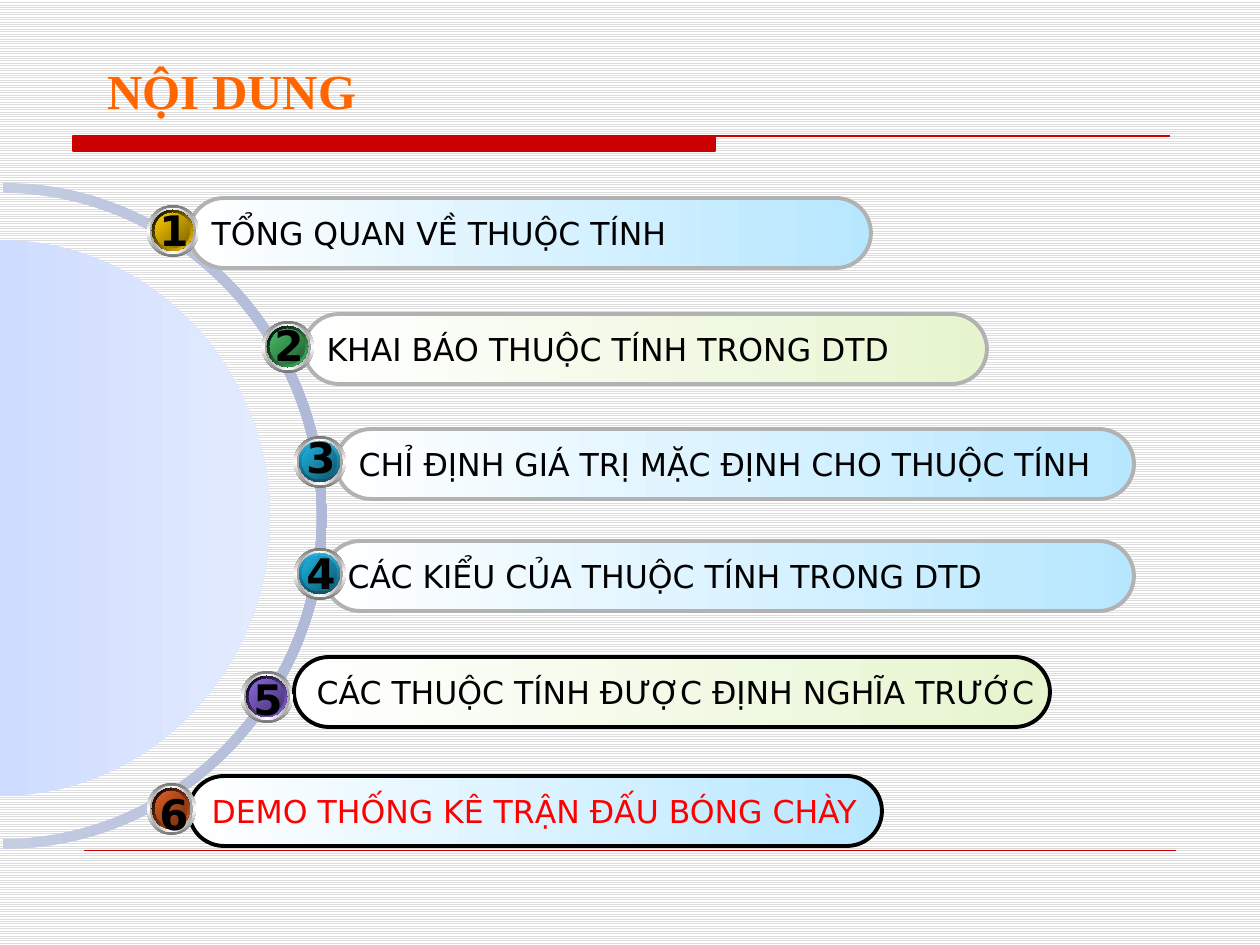
"""Build the numbered contents slide with a half-disc and six pill-shaped entries."""
from dataclasses import dataclass
from typing import Any, NamedTuple

from pptx import Presentation
from pptx.dml.color import RGBColor
from pptx.enum.dml import MSO_PATTERN
from pptx.enum.shapes import MSO_CONNECTOR, MSO_SHAPE
from pptx.enum.text import MSO_ANCHOR, MSO_AUTO_SIZE, PP_ALIGN
from pptx.oxml import parse_xml
from pptx.oxml.ns import nsdecls, qn
from pptx.util import Emu, Pt

PX = 914400 / 126
BADGE = 52
ARC_POINTS = 7


class Box(NamedTuple):
    left: int
    top: int
    width: int
    height: int

    def emu(self) -> list[Emu]:
        return [px(length) for length in self]


class Gradient(NamedTuple):
    colors: tuple[str, ...]
    angle: int = 0


@dataclass(frozen=True)
class Theme:
    black: str = "000000"
    red: str = "CC0000"
    demo: str = "FF0000"
    title: str = "FF6600"
    gray: str = "B2B2B2"
    white: str = "FFFFFF"
    stripe: str = "DDDDDD"
    blue: str = "B7E7FF"
    green: str = "E7F5CF"
    arc: Gradient = Gradient(("C5CDE3", "B0BAD8"))
    disc: Gradient = Gradient(("CEDCFF", "E3EBFF"))
    outer_metal: Gradient = Gradient(("767676", "FFFFFF", "767676"), 90)
    inner_metal: Gradient = Gradient(("A2A2A2", "FFFFFF", "A2A2A2"))
    glint: Gradient = Gradient(("FFFFFF", "336699", "FFFFFF"), 45)
    steel: Gradient = Gradient(("274E75", "336699", "274E75"), 315)
    title_font: str = "Times New Roman"
    body_font: str = "DejaVu Sans"
    title_size: int = 28
    entry_size: int = 18
    number_size: int = 24


THEME = Theme()


@dataclass(frozen=True)
class Accent:
    rim: Gradient
    face: Gradient


def accent(bright: str, dark: str) -> Accent:
    return Accent(Gradient((THEME.black, bright), 45), Gradient((bright, dark), 45))


GOLD = accent("FFCC00", "7C6300")
EMERALD = accent("48BE67", "235C32")
VIOLET = accent("8D67E1", "45326D")
ORANGE = accent("E35E23", "6E2E11")
CYAN = Accent(Gradient(("21B3E1", "0F5368"), 90), Gradient(("21B3E1", "10576D"), 45))


@dataclass(frozen=True)
class Entry:
    text: str
    left: int
    top: int
    width: int
    tint: str
    accent: Accent
    badge_left: int
    badge_top: int
    number_top: int
    badge_width: int = BADGE
    border: str = THEME.gray
    color: str = THEME.black


ENTRIES = (
    Entry("TỔNG QUAN VỀ THUỘC TÍNH", 189, 198, 682, THEME.blue, GOLD, 147, 205, 198),
    Entry("KHAI BÁO THUỘC TÍNH TRONG DTD", 304, 314, 683, THEME.green, EMERALD, 262, 321, 313),
    Entry("CHỈ ĐỊNH GIÁ TRỊ MẶC ĐỊNH CHO THUỘC TÍNH", 336, 429, 798, THEME.blue, CYAN,
          294, 436, 425),
    Entry("CÁC KIỂU CỦA THUỘC TÍNH TRONG DTD", 325, 541, 809, THEME.blue, CYAN, 294, 548, 541),
    Entry("CÁC THUỘC TÍNH ĐƯỢC ĐỊNH NGHĨA TRƯỚC", 294, 657, 756, THEME.green, VIOLET,
          241, 671, 667, border=THEME.black),
    Entry("DEMO THỐNG KÊ TRẬN ĐẤU BÓNG CHÀY", 189, 776, 693, THEME.blue, ORANGE,
          147, 783, 782, badge_width=49, border=THEME.black, color=THEME.demo),
)


def px(length: float) -> Emu:
    return Emu(round(length * PX))


def rgb(color: str) -> RGBColor:
    return RGBColor.from_string(color)


def apply(target: Any, values: dict[str, Any]) -> None:
    for attribute, value in values.items():
        setattr(target, attribute, value)


def write(frame: Any, text: str, font: str, size: int, color: str, bold: bool = False,
          align: PP_ALIGN = PP_ALIGN.LEFT, **frame_format: Any) -> None:
    apply(frame, frame_format)
    paragraph = frame.paragraphs[0]
    paragraph.alignment = align
    run = paragraph.add_run()
    run.text = text
    apply(run.font, {"name": font, "size": Pt(size), "bold": bold})
    run.font.color.rgb = rgb(color)


def paint(shape: Any, gradient: Gradient) -> None:
    last = len(gradient.colors) - 1
    stops = "".join(f'<a:gs pos="{100000 * i // last}"><a:srgbClr val="{color}"/></a:gs>'
                    for i, color in enumerate(gradient.colors))
    fill = parse_xml(f'<a:gradFill {nsdecls("a")} rotWithShape="1"><a:gsLst>{stops}</a:gsLst>'
                     f'<a:lin ang="{gradient.angle * 60000}" scaled="0"/></a:gradFill>')
    shape.fill.background()
    properties = shape.element.spPr
    properties.replace(properties.find(qn("a:noFill")), fill)
    shape.line.fill.background()
    shape.shadow.inherit = False


def half_ellipse(x: int, y: int, rx: int, ry: int) -> list[tuple[Emu, Emu]]:
    bend = 0.55
    offsets = ((0, -1), (bend, -1), (1, -bend), (1, 0), (1, bend), (bend, 1), (0, 1))
    return [(px(x + rx * dx), px(y + ry * dy)) for dx, dy in offsets]


def draw_curves(shapes: Any, points: list[tuple[Emu, Emu]], gradient: Gradient) -> None:
    builder = shapes.build_freeform(*points[0])
    builder.add_line_segments(points[1:], close=True)
    figure = builder.convert_to_shape()
    outline = next(figure.element.iter(qn("a:path")))
    nodes = list(outline)[:-1]
    for start in range(0, len(nodes), ARC_POINTS):
        for first in (start + 1, start + 4):
            curve = parse_xml(f'<a:cubicBezTo {nsdecls("a")}/>')
            nodes[first].addprevious(curve)
            for node in nodes[first:first + 3]:
                curve.append(node[0])
                outline.remove(node)
    paint(figure, gradient)


def draw_header_band(shapes: Any) -> None:
    left, top, band_right, bottom, rule_right = map(px, (73, 136, 715, 151, 1170))
    builder = shapes.build_freeform(left, top)
    builder.add_line_segments([(band_right, top), (band_right, bottom), (left, bottom)],
                              close=True)
    builder.move_to(left, top)
    builder.add_line_segments([(rule_right, top)], close=False)
    band = builder.convert_to_shape()
    band.fill.solid()
    band.fill.fore_color.rgb = band.line.color.rgb = rgb(THEME.red)
    band.line.width = Pt(0.75)
    band.shadow.inherit = False


def draw_footer_rule(shapes: Any) -> None:
    rule = shapes.add_connector(MSO_CONNECTOR.STRAIGHT, px(84), px(850), px(1176), px(850))
    rule.line.color.rgb = rgb(THEME.red)
    rule.line.width = Pt(0.25)
    rule.element.spPr.append(parse_xml(f'<a:effectLst {nsdecls("a")}/>'))


def draw_badge(shapes: Any, entry: Entry) -> None:
    badge = shapes.add_group_shape()
    layers = ((0, 0, THEME.outer_metal), (3, 6, THEME.inner_metal), (5, 11, THEME.glint),
              (5, 11, entry.accent.rim), (8, 17, THEME.steel), (8, 17, entry.accent.face))
    for offset, shrink, gradient in layers:
        box = Box(entry.badge_left + offset, entry.badge_top + offset,
                  entry.badge_width - shrink, BADGE - shrink)
        paint(badge.shapes.add_shape(MSO_SHAPE.OVAL, *box.emu()), gradient)


def draw_entry(shapes: Any, number: int, entry: Entry) -> None:
    pill = shapes.add_shape(MSO_SHAPE.ROUNDED_RECTANGLE,
                            *Box(entry.left, entry.top, entry.width, 70).emu())
    pill.adjustments[0] = 0.5
    paint(pill, Gradient((THEME.white, entry.tint)))
    pill.line.color.rgb = rgb(entry.border)
    pill.line.width = Pt(2.25)
    write(pill.text_frame, entry.text, THEME.body_font, THEME.entry_size, entry.color,
          word_wrap=False, vertical_anchor=MSO_ANCHOR.MIDDLE)
    draw_badge(shapes, entry)
    label = shapes.add_textbox(*Box(entry.badge_left, entry.number_top, 53, 63).emu())
    write(label.text_frame, str(number), THEME.body_font, THEME.number_size, THEME.black,
          bold=True, align=PP_ALIGN.CENTER, word_wrap=True)


def main() -> None:
    deck = Presentation()
    apply(deck, {"slide_width": px(1260), "slide_height": px(945)})
    slide = deck.slides.add_slide(deck.slide_layouts[5])
    shapes = slide.shapes
    backdrop = slide.background.fill
    backdrop.patterned()
    backdrop.pattern = MSO_PATTERN.LIGHT_HORIZONTAL
    backdrop.fore_color.rgb = rgb(THEME.stripe)
    backdrop.back_color.rgb = rgb(THEME.white)

    apply(shapes.title, dict(zip(("left", "top", "width", "height"),
                                 Box(95, 32, 1102, 94).emu())))
    write(shapes.title.text_frame, "NỘI DUNG", THEME.title_font, THEME.title_size, THEME.title,
          bold=True, vertical_anchor=MSO_ANCHOR.BOTTOM, auto_size=MSO_AUTO_SIZE.NONE)
    draw_header_band(shapes)
    draw_footer_rule(shapes)
    draw_curves(shapes, half_ellipse(3, 516, 324, 333) + half_ellipse(3, 516, 314, 323)[::-1],
                THEME.arc)
    draw_curves(shapes, half_ellipse(0, 518, 270, 278), THEME.disc)
    for number, entry in enumerate(ENTRIES, start=1):
        draw_entry(shapes, number, entry)
    deck.save("out.pptx")


if __name__ == "__main__":
    main()
